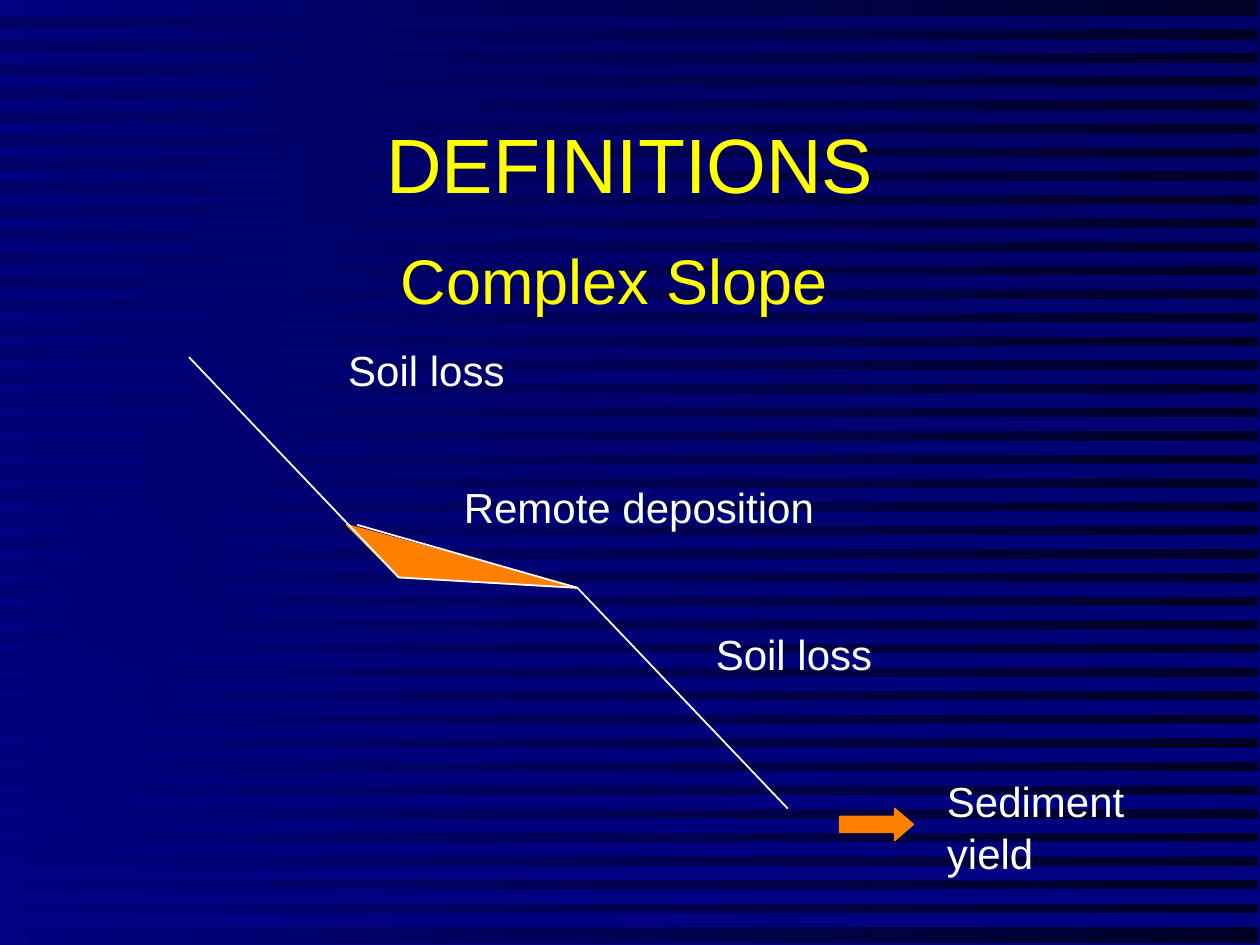
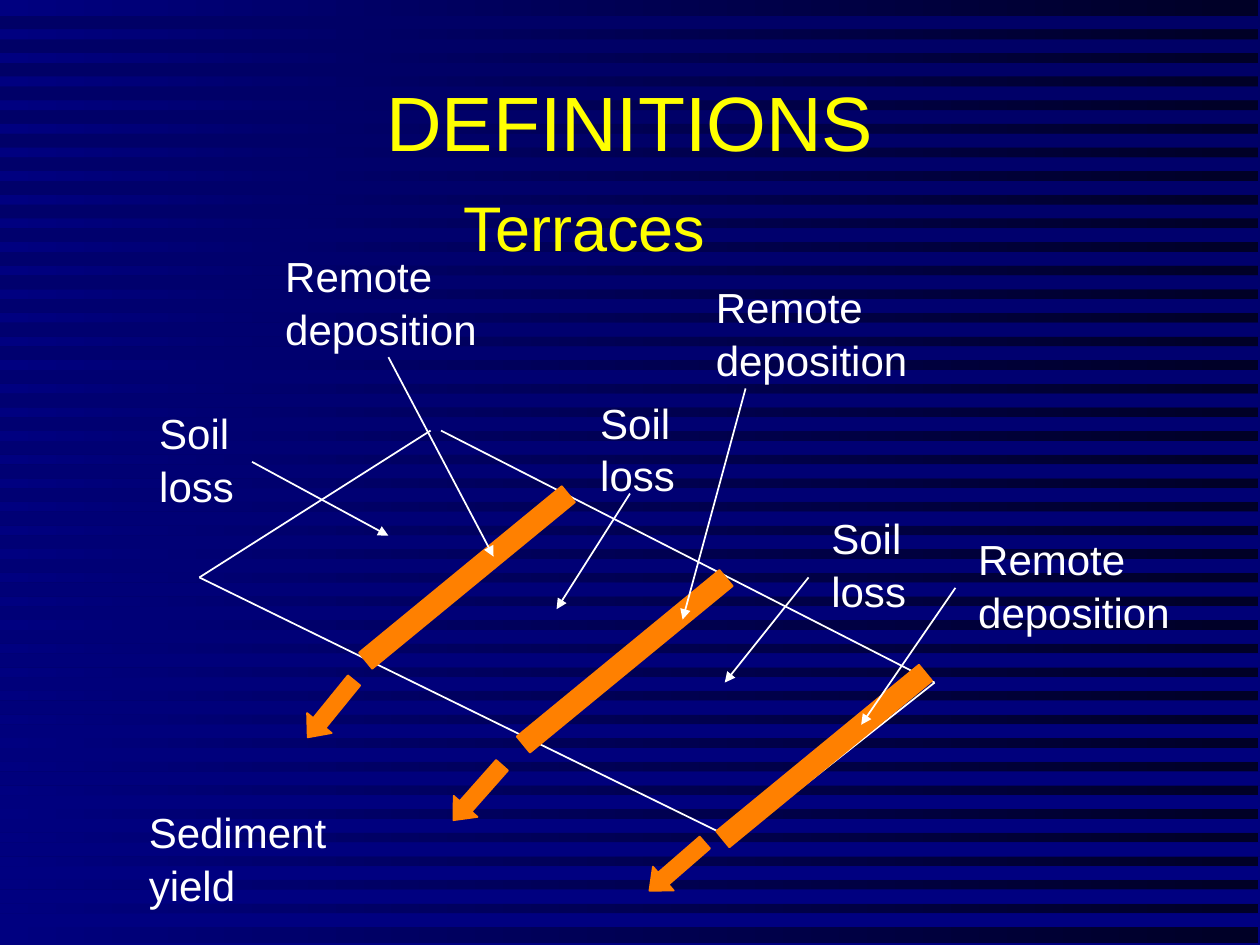
from lxml.etree import SubElement
from pptx import Presentation
from pptx.dml.color import RGBColor
from pptx.enum.shapes import MSO_CONNECTOR, MSO_SHAPE
from pptx.enum.text import MSO_ANCHOR, PP_ALIGN
from pptx.oxml.ns import qn
from pptx.util import Cm, Pt

SLIDE_WIDTH, SLIDE_HEIGHT = Cm(25.4), Cm(19.05)
NIGHT = RGBColor(0x00, 0x00, 0x26)
DARK_BLUE = RGBColor(0x00, 0x00, 0x66)
NAVY = RGBColor(0x00, 0x00, 0x80)
YELLOW = RGBColor(0xFF, 0xFF, 0x00)
WHITE = RGBColor(0xFF, 0xFF, 0xFF)
ORANGE = RGBColor(0xFF, 0x80, 0x00)

TITLE_FONT = {"name": "Arial", "size": Pt(44)}
SUBTITLE_FONT = {"name": "Arial", "size": Pt(36)}
LABEL_FONT = {"name": "Arial", "size": Pt(24)}
TITLE_PARAGRAPH = {"alignment": PP_ALIGN.CENTER}
LABEL_PARAGRAPH = {"line_spacing": 1.05}

STRIPE_COUNT = 39
STRIPE_PITCH = SLIDE_HEIGHT // 40
STRIPE_TOP, STRIPE_HEIGHT = Cm(0.32), Cm(0.27)

LABEL_WIDTH = 4.66
TERRACE_ANGLE = 320.6


def set_attributes(target, values):
    for name, value in values.items():
        setattr(target, name, value)


def fill_gradient(fill, start, end, angle):
    fill.gradient()
    fill.gradient_angle = angle
    for stop, color in zip(fill.gradient_stops, (start, end)):
        stop.color.rgb = color


def add_striped_background(slide):
    """Left-to-right gradient crossed by evenly spaced horizontal stripes."""
    fill_gradient(slide.background.fill, DARK_BLUE, NAVY, 270)
    base = slide.shapes.add_shape(
        MSO_SHAPE.RECTANGLE, 0, 0, SLIDE_WIDTH - Cm(0.03), SLIDE_HEIGHT - Cm(0.03))
    fill_gradient(base.fill, NIGHT, NAVY, 180)

    builder = slide.shapes.build_freeform(0, STRIPE_TOP)
    for index in range(STRIPE_COUNT):
        top = STRIPE_TOP + index * STRIPE_PITCH
        bottom = top + STRIPE_HEIGHT
        if index:
            builder.move_to(0, top)
        builder.add_line_segments(
            [(SLIDE_WIDTH, top), (SLIDE_WIDTH, bottom), (0, bottom)], close=True)
    stripes = builder.convert_to_shape()
    fill_gradient(stripes.fill, DARK_BLUE, NAVY, 270)

    for shape in (base, stripes):
        shape.line.fill.background()
        shape.shadow.inherit = False


def add_text(slide, text, left, top, width, height, font, color, paragraph_format):
    box = slide.shapes.add_textbox(Cm(left), Cm(top), Cm(width), Cm(height))
    box.text_frame.word_wrap = True
    paragraph = box.text_frame.paragraphs[0]
    paragraph.text = text
    set_attributes(paragraph, paragraph_format)
    set_attributes(paragraph.font, font)
    paragraph.font.color.rgb = color
    return box


def add_title(slide, top):
    box = add_text(slide, "DEFINITIONS", 1.91, top, 21.59, 3.18,
                   TITLE_FONT, YELLOW, TITLE_PARAGRAPH)
    box.text_frame.vertical_anchor = MSO_ANCHOR.MIDDLE


def add_subtitle(slide, text, left, top, width):
    add_text(slide, text, left, top, width, 1.78, SUBTITLE_FONT, YELLOW, LABEL_PARAGRAPH)


def add_label(slide, text, left, top, width=LABEL_WIDTH, height=2.29):
    add_text(slide, text, left, top, width, height, LABEL_FONT, WHITE, LABEL_PARAGRAPH)


def paint_orange(shape):
    shape.fill.solid()
    shape.fill.fore_color.rgb = ORANGE
    shape.line.color.rgb = ORANGE
    shape.line.width = Pt(1)
    shape.shadow.inherit = False


def add_line(slide, start, end, arrowhead=False):
    line = slide.shapes.add_connector(
        MSO_CONNECTOR.STRAIGHT, *(Cm(value) for value in (*start, *end)))
    line.line.color.rgb = WHITE
    line.line.width = Pt(1)
    if arrowhead:
        SubElement(line.line._get_or_add_ln(), qn("a:tailEnd"), type="triangle")
    SubElement(line._element.spPr, qn("a:effectLst"))


def add_yield_arrow(slide, left, top, rotation=0):
    arrow = slide.shapes.add_shape(
        MSO_SHAPE.RIGHT_ARROW, Cm(left), Cm(top), Cm(1.48), Cm(0.64))
    arrow.adjustments[1] = 0.58
    arrow.rotation = rotation
    paint_orange(arrow)


def add_terrace(slide, left, top):
    terrace = slide.shapes.add_shape(
        MSO_SHAPE.RECTANGLE, Cm(left), Cm(top), Cm(5.29), Cm(0.42))
    terrace.rotation = TERRACE_ANGLE
    paint_orange(terrace)


def add_deposit(slide, corners):
    points = [(Cm(x), Cm(y)) for x, y in corners]
    builder = slide.shapes.build_freeform(*points[0])
    builder.add_line_segments(points[1:], close=True)
    paint_orange(builder.convert_to_shape())


def add_definition_slide(presentation, title_top):
    slide = presentation.slides.add_slide(presentation.slide_layouts[6])
    add_striped_background(slide)
    add_title(slide, title_top)
    return slide


def build_complex_slope(presentation):
    slide = add_definition_slide(presentation, 1.69)
    slope_top, bend, ledge, slope_foot = (
        (3.81, 7.2), (8.04, 11.64), (11.64, 11.85), (15.88, 16.3))
    add_deposit(slide, [(6.99, 10.58), bend, ledge])
    for start, end in ((slope_top, bend), (bend, ledge), (ledge, slope_foot),
                       ((7.2, 10.58), ledge)):
        add_line(slide, start, end)
    add_label(slide, "Soil loss", 6.77, 6.77, 5.93, 1.27)
    add_label(slide, "Remote deposition", 9.1, 9.53, 7.83, 1.27)
    add_label(slide, "Soil loss", 14.18, 12.49, 5.93, 1.27)
    add_label(slide, "Sediment yield", 18.84, 15.45)
    add_yield_arrow(slide, 16.93, 16.3)
    add_subtitle(slide, "Complex Slope", 7.83, 4.66, 11.85)


def build_terraces(presentation):
    slide = add_definition_slide(presentation, 0.85)
    add_subtitle(slide, "Terraces", 9.1, 3.6, 6.99)
    for left, top, width in ((2.96, 8.04, 3.5), (11.85, 7.83, 2.96), (16.51, 10.16, 3.5)):
        add_label(slide, "Soil loss", left, top, width)
    for left, top in ((5.5, 4.87), (14.18, 5.5), (19.47, 10.58)):
        add_label(slide, "Remote deposition", left, top)
    add_label(slide, "Sediment yield", 2.75, 16.09)

    west, east, south = (4.02, 11.64), (18.84, 13.76), (14.82, 16.93)
    for start, end in ((west, (8.68, 8.68)), ((8.89, 8.68), east),
                       (east, south), (west, south)):
        add_line(slide, start, end)

    for left, top in ((6.77, 11.43), (9.95, 13.12), (13.97, 15.03)):
        add_terrace(slide, left, top)
    for left, top, rotation in ((5.93, 13.97, 129.1), (8.89, 15.66, 131.5),
                                (12.91, 17.15, 139)):
        add_yield_arrow(slide, left, top, rotation)

    deposition_pointers = (((7.83, 7.2), (9.95, 11.22)),
                           ((15.03, 7.83), (13.76, 12.49)),
                           ((19.26, 11.85), (17.36, 14.61)))
    loss_pointers = (((5.08, 9.31), (7.83, 10.8)),
                     ((12.7, 9.95), (11.22, 12.28)),
                     ((16.3, 11.64), (14.61, 13.76)))
    for start, end in deposition_pointers + loss_pointers:
        add_line(slide, start, end, arrowhead=True)


def main():
    presentation = Presentation()
    set_attributes(presentation, {"slide_width": SLIDE_WIDTH, "slide_height": SLIDE_HEIGHT})
    build_complex_slope(presentation)
    build_terraces(presentation)
    presentation.save("out.pptx")


if __name__ == "__main__":
    main()
